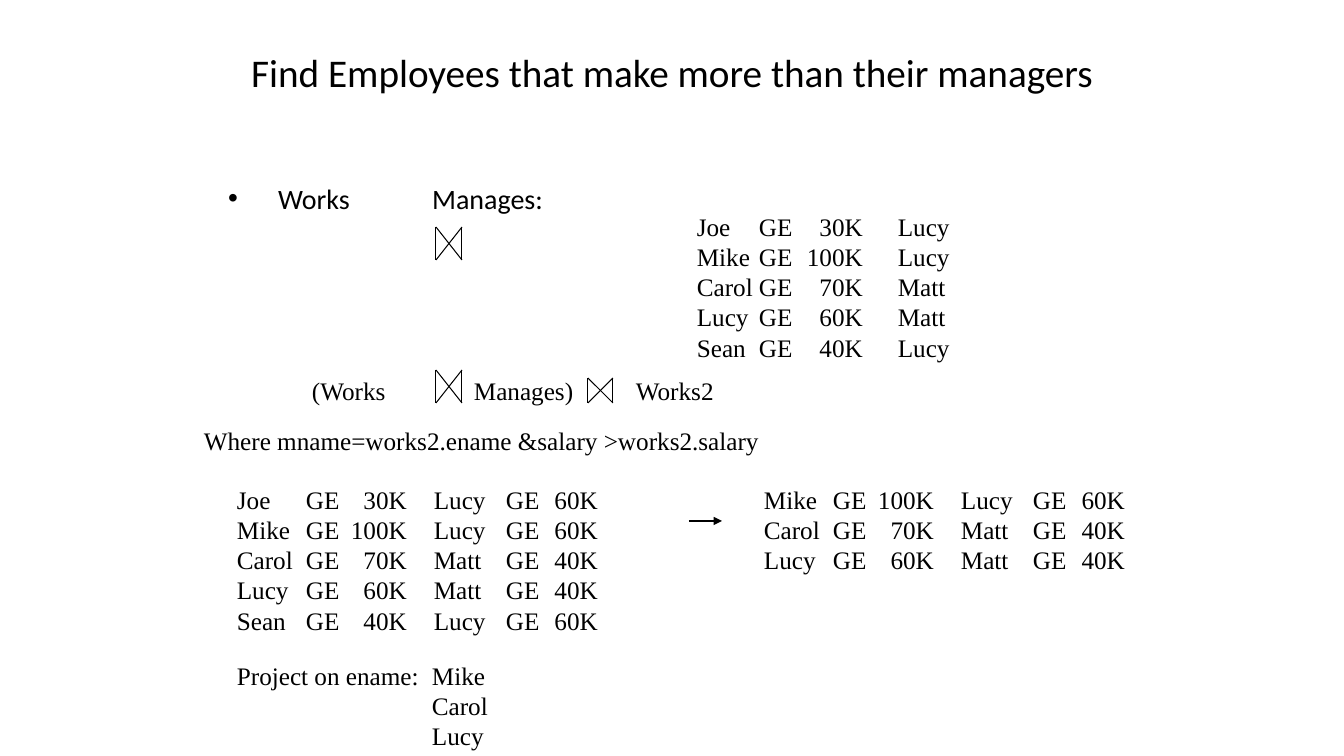
from dataclasses import dataclass
from typing import Any

from lxml import etree
from pptx import Presentation
from pptx import util as u
from pptx.dml.color import RGBColor
from pptx.enum import shapes, text
from pptx.oxml.ns import qn

EMU_PER_PX = 914400 / 100.8


def px(length):
    return u.Emu(round(length * EMU_PER_PX))


@dataclass(frozen=True)
class Theme:
    ink: RGBColor = RGBColor(0, 0, 0)
    heading_font: str = "Calibri"
    data_font: str = "Times New Roman"
    title_size: int = 28
    body_size: int = 20
    data_size: int = 18
    line_width: float = 0.75


def write(frame, lines, *, font, size, color, align=None, tabs=(), hanging=0):
    """Fill a text frame; tabs holds (px, alignment) pairs, hanging is in px."""
    frame.word_wrap = True
    for number, line in enumerate(lines):
        paragraph = frame.paragraphs[0] if number == 0 else frame.add_paragraph()
        if align is not None:
            paragraph.alignment = align
        run = paragraph.add_run()
        run.text = line
        run.font.name = font
        run.font.size = u.Pt(size)
        run.font.color.rgb = color
        properties = paragraph._p.get_or_add_pPr()
        if hanging:
            properties.set("marL", str(px(hanging)))
            properties.set("indent", str(-px(hanging)))
        if tabs:
            stops = etree.SubElement(properties, qn("a:tabLst"))
            for position, side in tabs:
                etree.SubElement(stops, qn("a:tab"), pos=str(px(position)), algn=side)


@dataclass
class SlideBuilder:
    slide: Any
    theme: Theme

    def place(self, shape, left, top, width, height):
        shape.left, shape.top = px(left), px(top)
        shape.width, shape.height = px(width), px(height)

    def title(self, wording, left, top, width, height, inset_top):
        heading = self.slide.shapes.title
        self.place(heading, left, top, width, height)
        frame = heading.text_frame
        frame.vertical_anchor = text.MSO_ANCHOR.TOP
        frame.margin_top = px(inset_top)
        write(frame, [wording], font=self.theme.heading_font, size=self.theme.title_size,
              color=self.theme.ink, align=text.PP_ALIGN.CENTER)

    def body(self, lines, left, top, width, height, **layout):
        bullets = self.slide.placeholders[1]
        self.place(bullets, left, top, width, height)
        write(bullets.text_frame, lines, font=self.theme.heading_font,
              size=self.theme.body_size, color=self.theme.ink, **layout)

    def data(self, lines, left, top, width, height, tabs=()):
        box = self.slide.shapes.add_textbox(px(left), px(top), px(width), px(height))
        box.text_frame.auto_size = text.MSO_AUTO_SIZE.SHAPE_TO_FIT_TEXT
        write(box.text_frame, lines, font=self.theme.data_font,
              size=self.theme.data_size, color=self.theme.ink, tabs=tabs)

    def line(self, x1, y1, x2, y2, *, parent=None, arrow=False):
        owner = parent or self.slide
        stroke = owner.shapes.add_connector(
            shapes.MSO_CONNECTOR.STRAIGHT, px(x1), px(y1), px(x2), px(y2))
        stroke.line.color.rgb = self.theme.ink
        stroke.line.width = u.Pt(self.theme.line_width)
        if arrow:
            etree.SubElement(stroke.line._get_or_add_ln(), qn("a:tailEnd"), type="triangle")
        etree.SubElement(stroke._element.spPr, qn("a:effectLst"))

    def join_symbol(self, left, top, width, height):
        """Draw the relational join sign: two uprights and two diagonals."""
        right, bottom = left + width, top + height
        sign = self.slide.shapes.add_group_shape()
        for x1, x2 in ((left, left), (right, right), (left, right), (right, left)):
            self.line(x1, top, x2, bottom, parent=sign)


WORKS_MANAGES = [
    "Joe\tGE\t30K\tLucy",
    "Mike\tGE\t100K\tLucy",
    "Carol\tGE\t70K\tMatt",
    "Lucy\tGE\t60K\tMatt",
    "Sean\tGE\t40K\tLucy",
]
MANAGER_SALARY = {"Lucy": "60K", "Matt": "40K"}
WITH_MANAGER_PAY = [
    f"{row}\tGE\t{MANAGER_SALARY[row.split()[-1]]}" for row in WORKS_MANAGES
]
EARN_MORE = WITH_MANAGER_PAY[1:4]

WORKS_TABS = [(62, "l"), (166, "r"), (201, "l")]
JOINED_TABS = [(69, "l"), (170, "r"), (197, "l"), (269, "l"), (361, "r")]


def main():
    deck = Presentation()
    deck.slide_width, deck.slide_height = px(1344), px(756)
    page = SlideBuilder(deck.slides.add_slide(deck.slide_layouts[1]), Theme())

    page.title("Find Employees that make more than their managers",
               218, 30, 908, 126, inset_top=18)
    page.body(["Works\tManages:"], 218, 176, 908, 499, hanging=50, tabs=[(204, "l")])
    page.join_symbol(436, 227, 26, 33)
    page.data(WORKS_MANAGES, 687, 206, 274, 161, WORKS_TABS)

    page.data(["(Works\tManages)\tWorks2"], 302, 370, 426, 40, [(162, "l"), (324, "l")])
    page.join_symbol(436, 370, 26, 33)
    page.join_symbol(588, 378, 25, 25)
    page.data(["Where mname=works2.ename &salary >works2.salary"], 194, 420, 983, 40)

    page.data(WITH_MANAGER_PAY, 227, 479, 382, 161, JOINED_TABS)
    page.line(689, 521, 722, 521, arrow=True)
    page.data(EARN_MORE, 754, 479, 421, 101, JOINED_TABS)
    page.data(["Project on ename:\tMike", "\tCarol", "\tLucy"],
              227, 655, 271, 101, [(195, "l")])

    deck.save("out.pptx")


if __name__ == "__main__":
    main()
